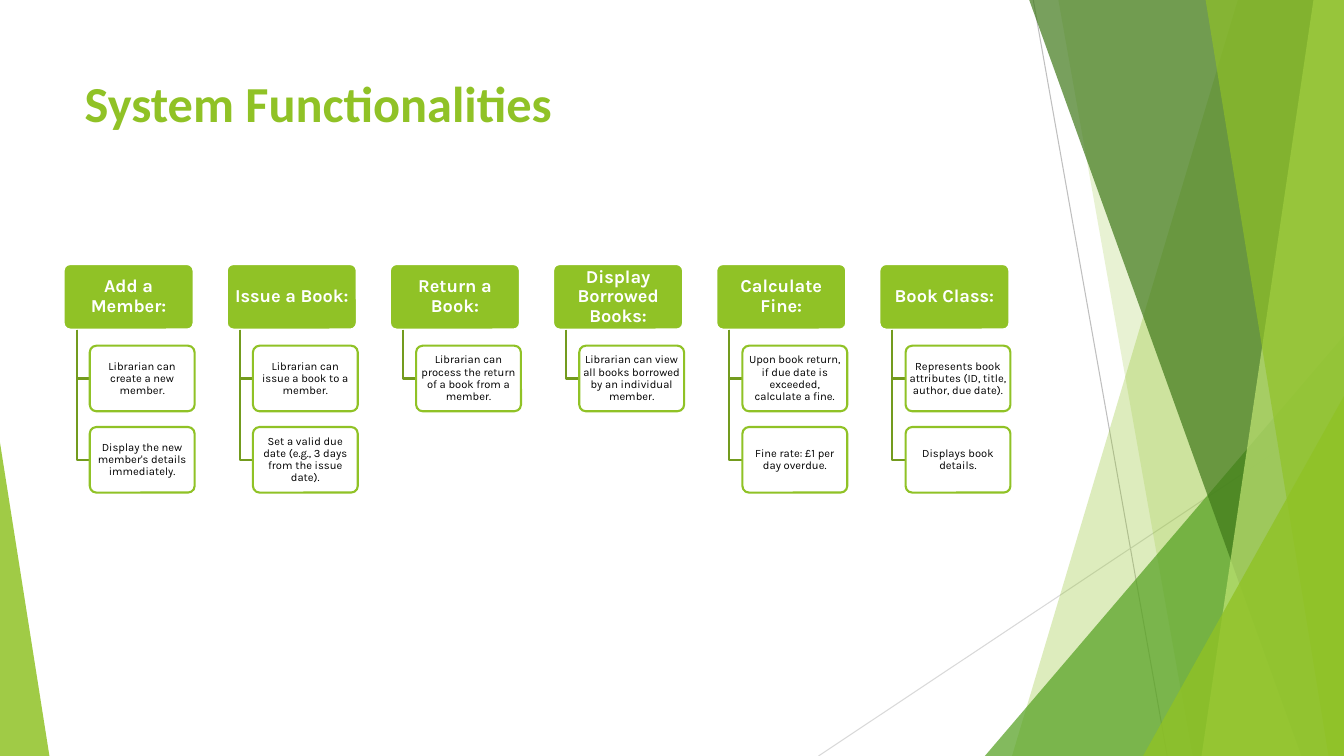
from dataclasses import dataclass

import pptx
import pptx.dml.color
import pptx.enum.shapes
import pptx.enum.text
import pptx.oxml.ns
import pptx.oxml.xmlchemy
import pptx.util

SHAPES = pptx.enum.shapes.MSO_SHAPE
ANCHOR = pptx.enum.text.MSO_ANCHOR
ALIGN = pptx.enum.text.PP_ALIGN


@dataclass(frozen=True)
class Theme:
    lime: str = "90C226"
    olive: str = "739B1E"
    green: str = "54A021"
    forest: str = "3F7819"
    pale: str = "C0E474"
    gray: str = "BFBFBF"
    light_gray: str = "D9D9D9"
    white: str = "FFFFFF"
    black: str = "000000"
    title_font: str = "Calibri"
    body_font: str = "Karla"
    title_size: float = 36
    head_size: float = 13
    card_size: float = 8
    hairline: float = 0.75
    outline: float = 1.5


FUNCTIONALITIES = [
    ("Add a Member:", ["Librarian can create a new member.",
                       "Display the new member's details immediately."]),
    ("Issue a Book:", ["Librarian can issue a book to a member.",
                       "Set a valid due date (e.g., 3 days from the issue date)."]),
    ("Return a Book:", ["Librarian can process the return of a book from a member."]),
    ("Display Borrowed Books:",
     ["Librarian can view all books borrowed by an individual member."]),
    ("Calculate Fine:", ["Upon book return, if due date is exceeded, calculate a fine.",
                         "Fine rate: £1 per day overdue."]),
    ("Book Class:", ["Represents book attributes (ID, title, author, due date).",
                     "Displays book details."]),
]

# Tree measures, in percent of the slide's width or height
TREE_LEFT, TREE_TOP = 4.73, 34.93
COLUMN_STEP, ROW_STEP = 12.14, 10.76
HEAD_WIDTH, CARD_WIDTH, BOX_HEIGHT = 9.68, 7.8, 8.67
TRUNK_INDENT, CARD_INDENT = 0.97, 1.95
FIRST_CARD_TOP = 45.73


class SlideBuilder:
    """Draws on one slide; every length is a percent of the slide's size."""

    def __init__(self, deck, theme):
        self.deck = deck
        self.theme = theme
        self.page = deck.slides.add_slide(deck.slide_layouts[5])

    def x(self, percent):
        return round(self.deck.slide_width * percent / 100)

    def y(self, percent):
        return round(self.deck.slide_height * percent / 100)

    def frame(self, left, top, width, height):
        return self.x(left), self.y(top), self.x(width), self.y(height)

    def paint(self, shape, fill=None, opacity=100, line=None):
        shape.shadow.inherit = False
        if fill:
            shape.fill.solid()
            shape.fill.fore_color.rgb = pptx.dml.color.RGBColor.from_string(fill)
            color = shape.element.spPr.find(".//" + pptx.oxml.ns.qn("a:srgbClr"))
            if opacity < 100:
                alpha = pptx.oxml.xmlchemy.OxmlElement("a:alpha")
                alpha.set("val", str(opacity * 1000))
                color.append(alpha)
        else:
            shape.fill.background()
        if line:
            shape.line.color.rgb = pptx.dml.color.RGBColor.from_string(line)
            shape.line.width = pptx.util.Pt(self.theme.outline)
        else:
            shape.line.fill.background()

    def label(self, shape, text, font, size, color, bold, align, anchor):
        frame = shape.text_frame
        frame.text = text
        frame.word_wrap = True
        frame.vertical_anchor = anchor
        para = frame.paragraphs[0]
        para.alignment = align
        para.line_spacing = 0.9 if font == self.theme.body_font else 1.0
        span = para.runs[0]
        span.font.name = font
        span.font.size = pptx.util.Pt(size)
        span.font.bold = bold
        span.font.color.rgb = pptx.dml.color.RGBColor.from_string(color)

    def title(self, text, *place):
        box = self.page.shapes.title
        box.left, box.top, box.width, box.height = self.frame(*place)
        self.label(box, text, self.theme.title_font, self.theme.title_size,
                   self.theme.lime, True, ALIGN.LEFT, ANCHOR.TOP)

    def hairline(self, start, end, color):
        line = self.page.shapes.add_connector(
            pptx.enum.shapes.MSO_CONNECTOR.STRAIGHT,
            self.x(start[0]), self.y(start[1]), self.x(end[0]), self.y(end[1]))
        line.line.color.rgb = pptx.dml.color.RGBColor.from_string(color)
        line.line.width = pptx.util.Pt(self.theme.hairline)
        line.element.spPr.append(pptx.oxml.xmlchemy.OxmlElement("a:effectLst"))

    def outline(self, points, closed, **paint):
        corners = [(self.x(across), self.y(down)) for across, down in points]
        builder = self.page.shapes.build_freeform(*corners[0])
        builder.add_line_segments(corners[1:], close=closed)
        self.paint(builder.convert_to_shape(), **paint)

    def shard(self, top_left, bottom_left, color, opacity):
        """A facet that runs from a slanted left edge to the slide's right edge."""
        points = [(top_left, 0), (100, 0), (100, 100), (bottom_left, 100)]
        self.outline(points, True, fill=color, opacity=opacity)

    def triangle(self, place, apex, color, opacity):
        shape = self.page.shapes.add_shape(SHAPES.ISOSCELES_TRIANGLE, *self.frame(*place))
        shape.adjustments[0] = apex
        self.paint(shape, color, opacity)

    def box(self, text, place, size, color, bold, inset, **paint):
        shape = self.page.shapes.add_shape(SHAPES.ROUNDED_RECTANGLE, *self.frame(*place))
        shape.adjustments[0] = 0.1
        self.paint(shape, **paint)
        frame = shape.text_frame
        frame.margin_left = frame.margin_right = pptx.util.Inches(inset)
        frame.margin_top = frame.margin_bottom = pptx.util.Inches(inset - 0.01)
        self.label(shape, text, self.theme.body_font, size, color, bold,
                   ALIGN.CENTER, ANCHOR.MIDDLE)

    def branch(self, column, head, cards):
        """One heading with its cards hanging from a trunk line."""
        theme = self.theme
        left = TREE_LEFT + column * COLUMN_STEP
        self.box(head, (left, TREE_TOP, HEAD_WIDTH, BOX_HEIGHT), theme.head_size,
                 theme.white, True, 0.03, fill=theme.lime, line=theme.white)
        trunk, card_left = left + TRUNK_INDENT, left + CARD_INDENT
        for row, text in enumerate(cards):
            top = FIRST_CARD_TOP + row * ROW_STEP
            middle = top + BOX_HEIGHT / 2
            elbow = [(trunk, TREE_TOP + BOX_HEIGHT), (trunk, middle), (card_left, middle)]
            self.outline(elbow, False, line=theme.olive)
            self.box(text, (card_left, top, CARD_WIDTH, BOX_HEIGHT), theme.card_size,
                     theme.black, False, 0.02, fill=theme.white, opacity=90,
                     line=theme.lime)

    def backdrop(self):
        theme = self.theme
        self.hairline((76.88, 0), (86.85, 100), theme.gray)
        self.hairline((100, 53.73), (60.9, 100), theme.light_gray)
        self.shard(92.1, 75.3, theme.lime, 30)
        self.shard(78.75, 88.73, theme.lime, 20)
        self.triangle((73.28, 44.4, 26.72, 55.6), 1, theme.green, 72)
        self.shard(76.58, 96.83, theme.forest, 70)
        self.shard(97.73, 89.4, theme.pale, 70)
        self.shard(89.7, 98.85, theme.lime, 65)
        self.triangle((85.05, 52.4, 14.95, 47.6), 1, theme.lime, 80)
        self.triangle((0, 58.53, 3.68, 41.47), 0, theme.lime, 85)


def main():
    deck = pptx.Presentation()
    deck.slide_width = pptx.util.Inches(13.33)
    deck.slide_height = pptx.util.Inches(7.5)
    slide = SlideBuilder(deck, Theme())
    slide.backdrop()
    slide.title("System Functionalities", 5.55, 8.93, 70.5, 19.2)
    for column, (head, cards) in enumerate(FUNCTIONALITIES):
        slide.branch(column, head, cards)
    deck.save("out.pptx")


if __name__ == "__main__":
    main()
